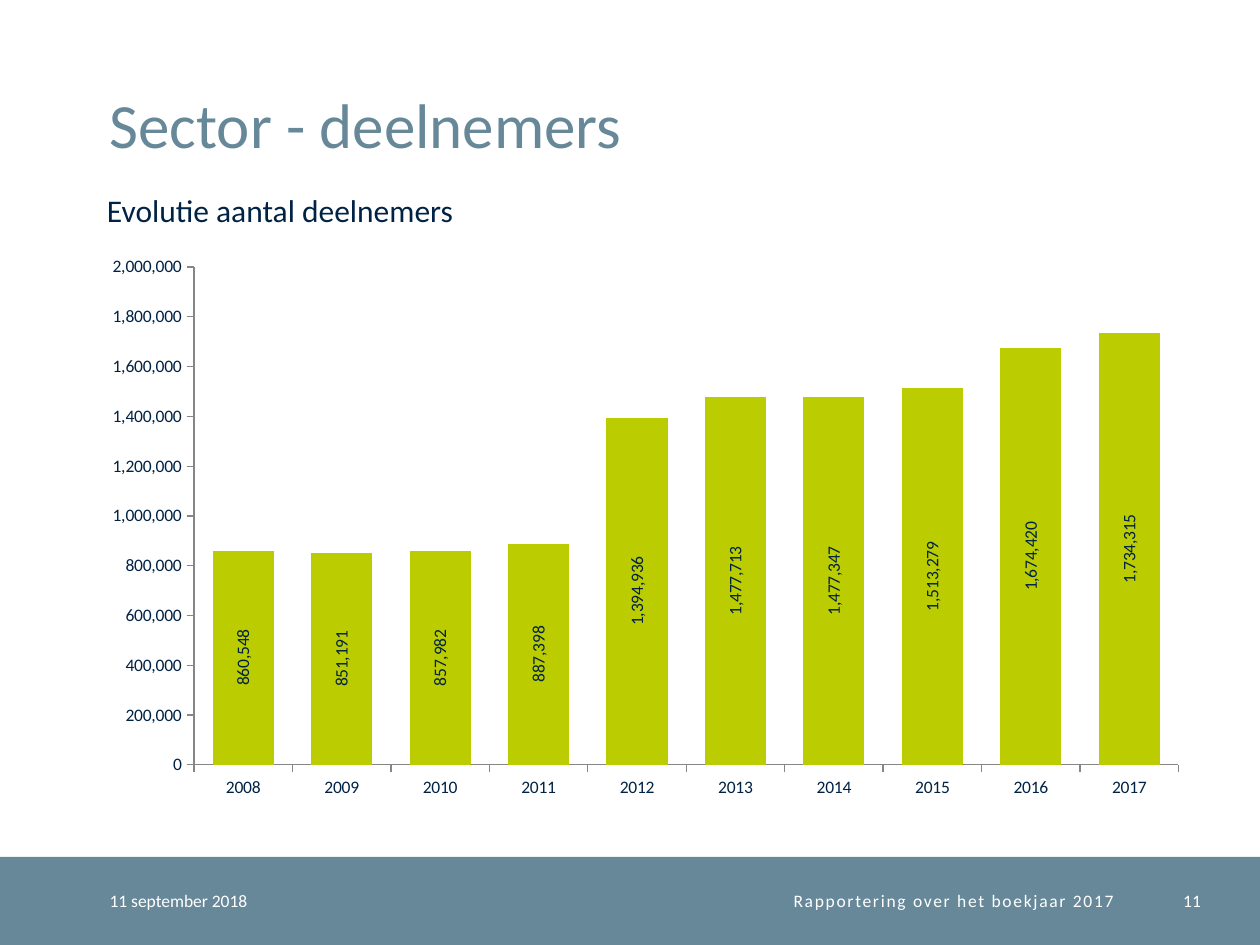
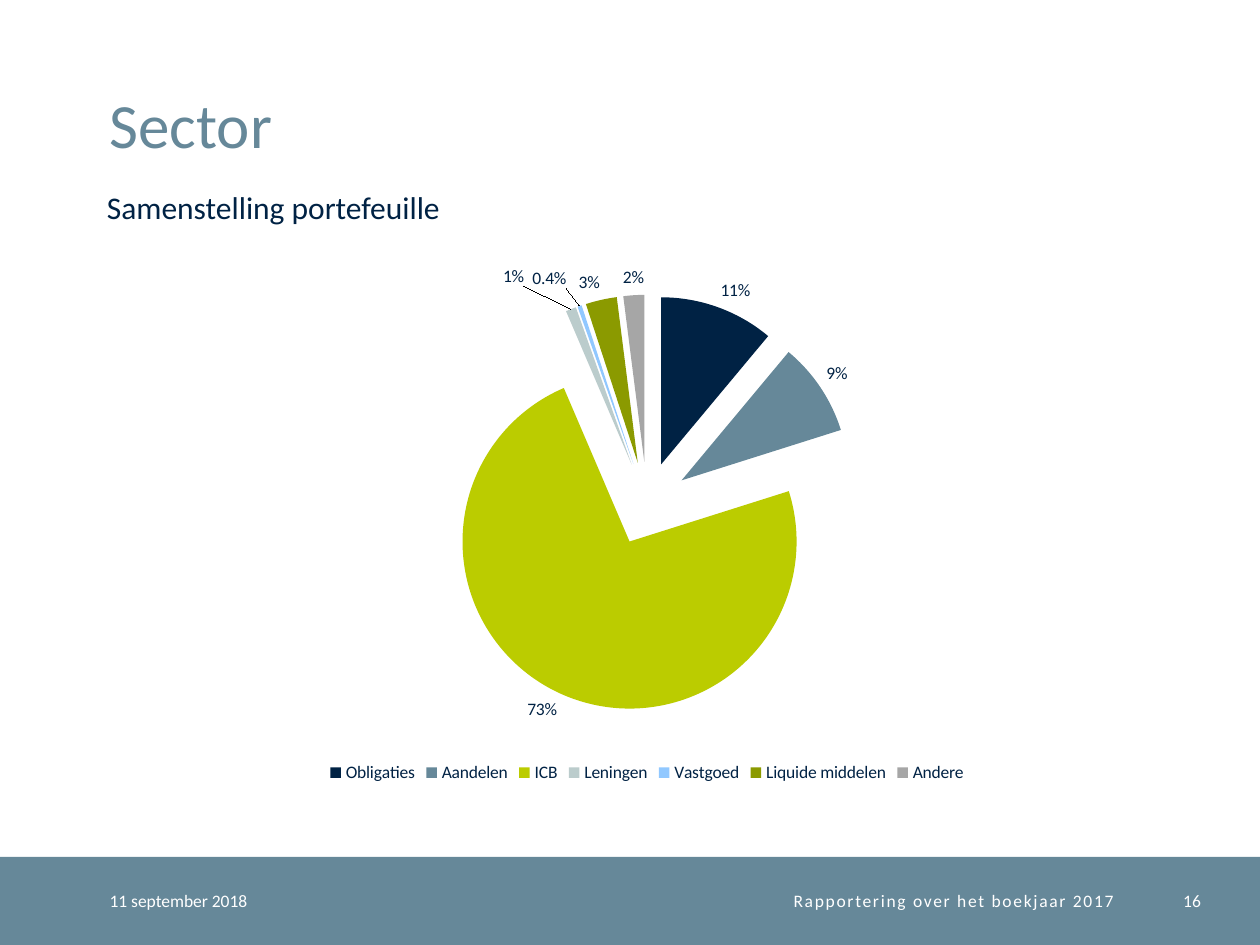
from copy import deepcopy

from pptx import Presentation
from pptx import util as u
from pptx.chart.data import CategoryChartData
from pptx.dml.color import RGBColor
from pptx.enum import chart as ch
from pptx.enum import shapes, text
from pptx.oxml import parse_xml
from pptx.oxml.ns import nsdecls, qn

WHITE = RGBColor(0xFF, 0xFF, 0xFF)
SLATE = RGBColor(0x66, 0x88, 0x99)
NAVY = RGBColor(0x00, 0x22, 0x44)
LIME = RGBColor(0xBB, 0xCC, 0x00)
MIST = RGBColor(0xBB, 0xCC, 0xCC)
SKY = RGBColor(0x91, 0xC8, 0xFF)
OLIVE = RGBColor(0x8B, 0x9A, 0x00)
GREY = RGBColor(0xA6, 0xA6, 0xA6)
AXIS = RGBColor(0x86, 0x86, 0x86)

FONT = "Calibri"
WIDE, HIGH = u.Inches(10), u.Inches(7.5)
COLS, ROWS = 100, 75
LEFT, RIGHT = 8.7, 95.3
BAND = (0, 68, COLS, 7)

YEARS = [str(year) for year in range(2008, 2018)]
MEMBERS = [860548, 851191, 857982, 887398, 1394936,
           1477713, 1477347, 1513279, 1674420, 1734315]
ASSETS = {
    "Obligaties": (0.11, NAVY),
    "Aandelen": (0.09, SLATE),
    "ICB": (0.73, LIME),
    "Leningen": (0.01, MIST),
    "Vastgoed": (0.004, SKY),
    "Liquide middelen": (0.03, OLIVE),
    "Andere": (0.02, GREY),
}
# Label offsets of the two thinnest slices, as shares of the chart
MOVES = {3: (-0.04, -0.03), 4: (-0.01, -0.02)}


def place(box):
    """Turn a box in grid columns and rows into slide lengths."""
    x, y, w, h = box
    return [int(v) for v in (x * WIDE / COLS, y * HIGH / ROWS,
                             w * WIDE / COLS, h * HIGH / ROWS)]


def style(font, size, color):
    for key, val in {"name": FONT, "size": u.Pt(size)}.items():
        setattr(font, key, val)
    font.color.rgb = color


def trim(frame, anchor):
    """Give a text frame no margins and a fixed size."""
    form = {"margin_left": 0, "margin_top": 0, "margin_right": 0,
            "margin_bottom": 0, "word_wrap": True,
            "auto_size": text.MSO_AUTO_SIZE.NONE, "vertical_anchor": anchor}
    for key, val in form.items():
        setattr(frame, key, val)


def add_title(slide, words):
    title = slide.shapes.title
    title.left, title.top, title.width, title.height = place(
        (LEFT, 2, 86.3, 10.8))
    trim(title.text_frame, text.MSO_ANCHOR.BOTTOM)
    para = title.text_frame.paragraphs[0]
    para.text = words
    para.alignment = text.PP_ALIGN.LEFT
    para.line_spacing = u.Pt(32)
    style(para.runs[0].font, 36, SLATE)


def add_head(slide, box, words):
    frame = slide.shapes.add_textbox(*place(box)).text_frame
    frame.word_wrap = True
    run = frame.paragraphs[0].add_run()
    run.text = words
    style(run.font, 18, NAVY)


def add_footer(slide, box, number):
    band = slide.shapes.add_shape(shapes.MSO_SHAPE.RECTANGLE, *place(box))
    band.shadow.inherit = False
    band.fill.solid()
    band.fill.fore_color.rgb = SLATE
    band.line.fill.background()

    _, top, _, tall = box
    start, end = text.PP_ALIGN.LEFT, text.PP_ALIGN.RIGHT
    parts = [
        (LEFT, 26.4, "11 september 2018", start, 0),
        (26.4, 88.4, "Rapportering over het boekjaar 2017", end, 100),
        (90.4, RIGHT, str(number), end, 0),
    ]
    for x, stop, words, align, gap in parts:
        area = place((x, top, stop - x, tall))
        frame = slide.shapes.add_textbox(*area).text_frame
        trim(frame, text.MSO_ANCHOR.MIDDLE)
        para = frame.paragraphs[0]
        para.alignment = align
        run = para.add_run()
        run.text = words
        style(run.font, 10, WHITE)
        if gap:
            run.font._element.set("spc", str(gap))


def layout(mode, **vals):
    """Build a manual chart layout from shares of the chart's size."""
    inner = '<c:layoutTarget val="inner"/>' if mode else ""
    modes = "".join(f'<c:{k}Mode val="{mode}"/>' for k in "xy") if mode else ""
    nums = "".join(f'<c:{k} val="{v}"/>' for k, v in vals.items())
    return parse_xml(f'<c:layout {nsdecls("c")}><c:manualLayout>{inner}'
                     f'{modes}{nums}</c:manualLayout></c:layout>')


def add_chart(slide, box, kind, names, vals, plot):
    data = CategoryChartData()
    data.categories = names
    data.add_series("Series 1", vals)
    chart = slide.shapes.add_chart(kind, *place(box), data).chart
    chart.has_title = False
    chart.has_legend = False
    style(chart.font, 10, NAVY)
    area = chart._chartSpace.chart.plotArea
    for old in area.findall(qn("c:layout")):
        area.remove(old)
    area.insert(0, layout("edge", **dict(zip("xywh", plot))))
    return chart


def label(series, form):
    labels = series.data_labels
    style(labels.font, 10, NAVY)
    for key, val in {"show_value": True, "number_format": form,
                     "number_format_is_linked": False}.items():
        setattr(labels, key, val)
    return labels


def add_bars(slide, box):
    chart = add_chart(slide, box, ch.XL_CHART_TYPE.COLUMN_STACKED,
                      YEARS, MEMBERS, (0.09, 0.04, 0.89, 0.88))
    plot = chart.plots[0]
    for key, val in {"gap_width": 61, "overlap": 100,
                     "vary_by_categories": False}.items():
        setattr(plot, key, val)
    series = plot.series[0]
    series.format.fill.solid()
    series.format.fill.fore_color.rgb = LIME
    labels = label(series, "#,##0")
    labels.position = ch.XL_LABEL_POSITION.CENTER
    body = labels._element.find(qn("c:txPr")).find(qn("a:bodyPr"))
    body.set("rot", "-5400000")
    body.set("vert", "horz")

    for axis in (chart.category_axis, chart.value_axis):
        axis.has_major_gridlines = False
        axis.major_tick_mark = ch.XL_TICK_MARK.OUTSIDE
        axis.format.line.color.rgb = AXIS
        axis.format.line.width = u.Pt(0.75)
        style(axis.tick_labels.font, 10, NAVY)
    scale = chart.value_axis
    for key, val in {"minimum_scale": 0, "maximum_scale": 2000000,
                     "major_unit": 200000}.items():
        setattr(scale, key, val)
    scale.tick_labels.number_format = "#,##0"
    scale.tick_labels.number_format_is_linked = False


def add_pie(slide, box):
    chart = add_chart(slide, box, ch.XL_CHART_TYPE.PIE, list(ASSETS),
                      [share for share, _ in ASSETS.values()],
                      (0.31, 0.08, 0.38, 0.78))
    chart.has_legend = True
    chart.legend.position = ch.XL_LEGEND_POSITION.BOTTOM
    chart.legend.include_in_layout = False
    style(chart.legend.font, 10, NAVY)

    series = chart.plots[0].series[0]
    for i, (_, color) in enumerate(ASSETS.values()):
        fill = series.points[i].format.fill
        fill.solid()
        fill.fore_color.rgb = color
    burst = parse_xml(f'<c:explosion {nsdecls("c")} val="25"/>')
    series._element.find(qn("c:dPt")).addprevious(burst)

    labels = label(series, "[<0.005]0.0%;0%")
    labels.position = ch.XL_LABEL_POSITION.OUTSIDE_END
    root = labels._element
    shared = [part for part in root if part.tag != qn("c:showLeaderLines")]
    for spot, (i, (x, y)) in enumerate(MOVES.items()):
        item = parse_xml(f'<c:dLbl {nsdecls("c")}><c:idx val="{i}"/></c:dLbl>')
        item.append(layout("", x=x, y=y))
        item.extend([deepcopy(part) for part in shared])
        root.insert(spot, item)


def add_page(deck, title, number):
    slide = deck.slides.add_slide(deck.slide_layouts[5])
    add_footer(slide, BAND, number)
    add_title(slide, title)
    return slide


def main():
    deck = Presentation()
    deck.slide_width, deck.slide_height = WIDE, HIGH

    slide = add_page(deck, "Sector - deelnemers", 11)
    add_head(slide, (7.5, 14.7, 89.8, 4), "Evolutie aantal deelnemers")
    add_bars(slide, (7.5, 19.4, 87.8, 44.9))

    slide = add_page(deck, "Sector", 16)
    add_head(slide, (7.5, 14.4, 38.5, 4), "Samenstelling portefeuille")
    add_pie(slide, (7.5, 20, 87.7, 42.5))

    deck.save("out.pptx")


if __name__ == "__main__":
    main()
